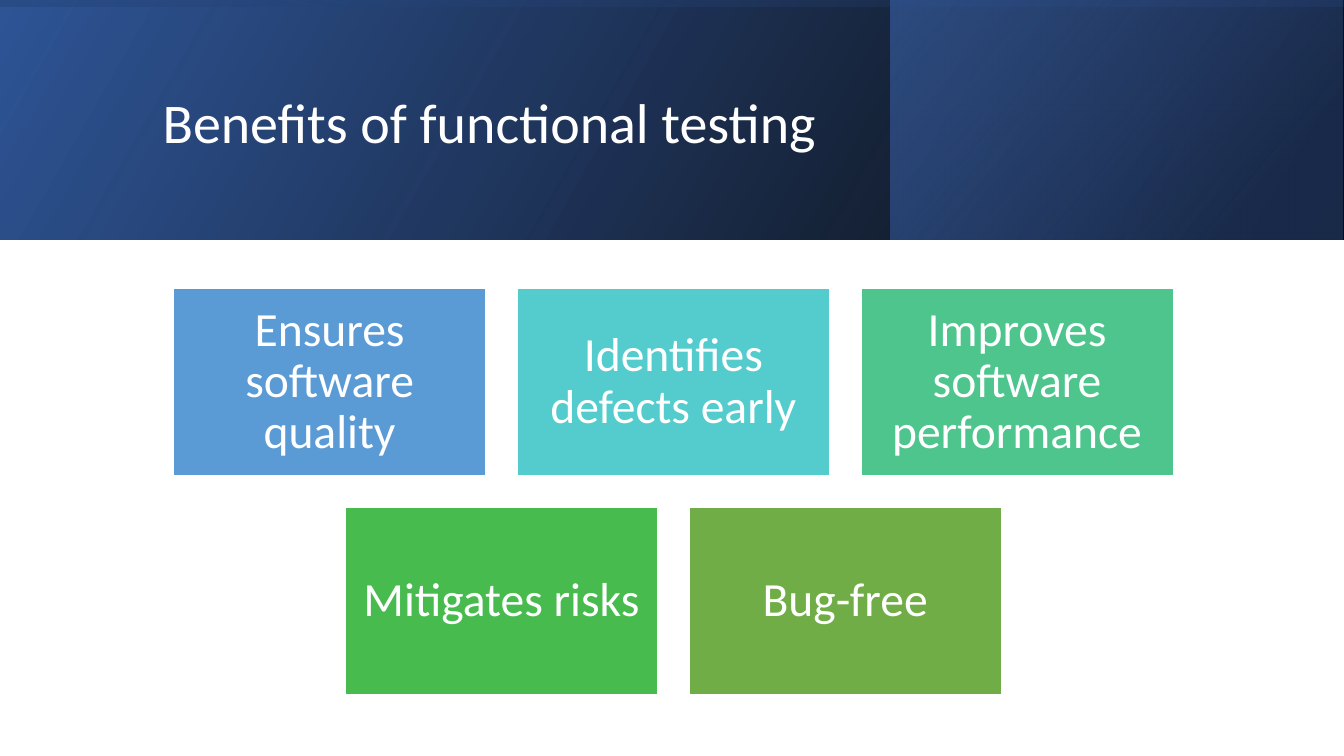
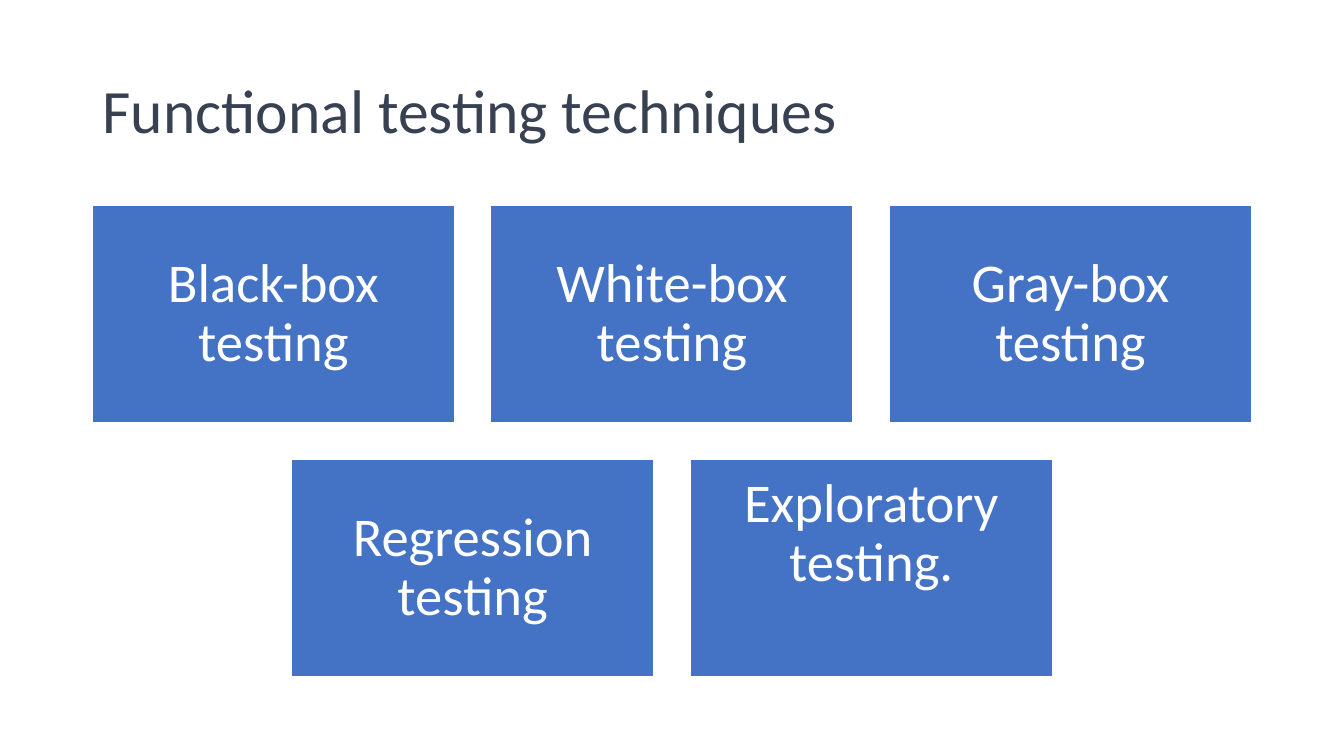
from lxml import etree
from pptx import Presentation
from pptx.dml.color import RGBColor
from pptx.enum.shapes import MSO_SHAPE
from pptx.enum.text import MSO_ANCHOR, MSO_AUTO_SIZE, PP_ALIGN
from pptx.oxml.ns import qn
from pptx.util import Pt

RECTANGLE = MSO_SHAPE.RECTANGLE
TOP, MIDDLE = MSO_ANCHOR.TOP, MSO_ANCHOR.MIDDLE
LEFT, CENTER = PP_ALIGN.LEFT, PP_ALIGN.CENTER
NO_AUTOFIT = MSO_AUTO_SIZE.NONE

SLIDE_WIDTH, SLIDE_HEIGHT = 960, 540
TITLE_ONLY_LAYOUT = 5
FONT = "Calibri"
WHITE, SLATE, NAVY, BLUE = "FFFFFF", "374151", "2F5597", "4472C4"
BAND_HEIGHT = 170.9
BAND_OFFSET = (SLIDE_WIDTH - BAND_HEIGHT) / 2

BANDS = [
    {"box": (0, 0, SLIDE_WIDTH, BAND_HEIGHT), "angle": 30, "rotation": 0,
     "stops": [(0, "000000", 96), (100, NAVY, 100)]},
    {"box": (636.2, 0, 322.9, BAND_HEIGHT), "angle": 40, "rotation": 0,
     "stops": [(19, "203864", 68), (100, BLUE, 48)]},
    {"box": (BAND_OFFSET, -BAND_OFFSET, BAND_HEIGHT, SLIDE_WIDTH), "angle": 10, "rotation": 270,
     "stops": [(23, NAVY, 16), (99, "000000", 45)]},
]

BENEFITS = [
    [("Ensures software quality", "5B9BD5", MIDDLE),
     ("Identifies defects early", "54CCCD", MIDDLE),
     ("Improves software performance", "4DC58D", MIDDLE)],
    [("Mitigates risks", "48BB4F", MIDDLE),
     ("Bug-free", "70AD47", MIDDLE)],
]

TECHNIQUES = [
    [("Black-box testing", BLUE, MIDDLE),
     ("White-box testing", BLUE, MIDDLE),
     ("Gray-box testing", BLUE, MIDDLE)],
    [("Regression testing", BLUE, MIDDLE),
     ("Exploratory testing.", BLUE, TOP)],
]


def color(hex_value):
    """Turn a hex string into a colour."""
    return RGBColor.from_string(hex_value)


def apply_format(target, values):
    """Set each named attribute on the target."""
    for name, value in values.items():
        setattr(target, name, value)


def write_text(shape, text, size, hex_value, alignment, frame_format):
    """Write one formatted paragraph into a shape."""
    frame = shape.text_frame
    apply_format(frame, {"word_wrap": True, "auto_size": NO_AUTOFIT, **frame_format})
    paragraph = frame.paragraphs[0]
    apply_format(paragraph, {"alignment": alignment, "line_spacing": 0.9})
    run = paragraph.add_run()
    run.text = text
    apply_format(run.font, {"name": FONT, "size": Pt(size), "bold": False})
    run.font.color.rgb = color(hex_value)


def add_rectangle(slide, left, top, width, height):
    """Add a rectangle without a shadow."""
    shape = slide.shapes.add_shape(RECTANGLE, Pt(left), Pt(top), Pt(width), Pt(height))
    shape.shadow.inherit = False
    return shape


def add_gradient_band(slide, box, angle, rotation, stops):
    """Add a mirrored rectangle with a translucent gradient."""
    shape = add_rectangle(slide, *box)
    shape.rotation = rotation
    shape.line.fill.background()
    shape.fill.gradient()
    shape.fill.gradient_angle = angle
    for stop, (position, hex_value, _) in zip(shape.fill.gradient_stops, stops):
        stop.position = position / 100
        stop.color.rgb = color(hex_value)
    properties = shape._element.spPr
    properties.find(qn("a:xfrm")).set("flipH", "1")
    for element, (_, _, opacity) in zip(properties.iter(qn("a:srgbClr")), stops):
        etree.SubElement(element, qn("a:alpha")).set("val", str(opacity * 1000))


def add_titled_slide(presentation, title, box, size, hex_value, bands=()):
    """Add a slide whose title stands in front of its bands."""
    slide = presentation.slides.add_slide(presentation.slide_layouts[TITLE_ONLY_LAYOUT])
    for band in bands:
        add_gradient_band(slide, **band)
    placeholder = slide.shapes.title
    apply_format(placeholder, dict(zip(("left", "top", "width", "height"), map(Pt, box))))
    write_text(placeholder, title, size, hex_value, LEFT, {"vertical_anchor": MIDDLE})
    slide.shapes._spTree.append(placeholder._element)
    return slide


def add_tile(slide, box, text, hex_value, anchor, size, margin):
    """Add a coloured tile with a centred label."""
    tile = add_rectangle(slide, *box)
    tile.fill.solid()
    tile.fill.fore_color.rgb = color(hex_value)
    tile.line.color.rgb = color(WHITE)
    tile.line.width = Pt(1)
    margins = {f"margin_{side}": Pt(margin) for side in ("left", "top", "right", "bottom")}
    write_text(tile, text, size, WHITE, CENTER, {"vertical_anchor": anchor, **margins})


def add_tile_rows(slide, rows, center, top, width, size, margin):
    """Add centred rows of tiles in a fixed proportion."""
    height, gap = 0.6 * width, 0.1 * width
    for row_index, row in enumerate(rows):
        row_width = len(row) * (width + gap) - gap
        row_top = top + row_index * (height + gap)
        for column, (text, hex_value, anchor) in enumerate(row):
            left = center - row_width / 2 + column * (width + gap)
            add_tile(slide, (left, row_top, width, height), text, hex_value, anchor, size, margin)


def main():
    """Build and save both slides."""
    presentation = Presentation()
    apply_format(presentation, {"slide_width": Pt(SLIDE_WIDTH), "slide_height": Pt(SLIDE_HEIGHT)})

    benefits = add_titled_slide(presentation, "Benefits of functional testing",
                                (109, 27.4, 765, 124), 40, WHITE, BANDS)
    add_tile_rows(benefits, BENEFITS, center=481, top=206, width=223.2, size=34, margin=10)

    techniques = add_titled_slide(presentation, "Functional testing techniques",
                                  (66, 28.8, 828, 104.4), 44, SLATE)
    add_tile_rows(techniques, TECHNIQUES, center=480, top=146.9, width=258.8, size=39, margin=11.5)

    presentation.save("out.pptx")


if __name__ == "__main__":
    main()
